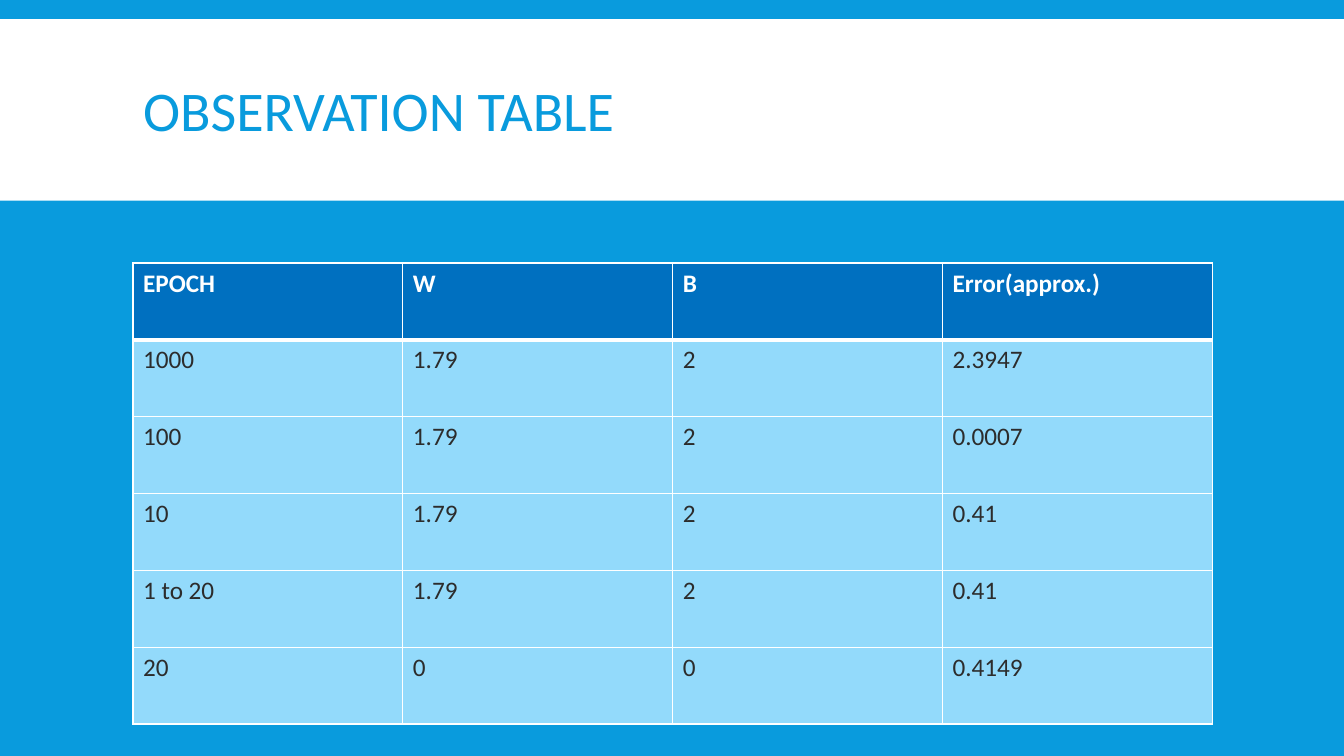
from lxml import etree
from pptx import Presentation
from pptx.dml.color import RGBColor
from pptx.enum.shapes import MSO_SHAPE
from pptx.enum.text import MSO_ANCHOR, PP_ALIGN
from pptx.oxml.ns import qn
from pptx.util import Inches, Pt

RECT = MSO_SHAPE.RECTANGLE
MIDDLE, TOP = MSO_ANCHOR.MIDDLE, MSO_ANCHOR.TOP
LEFT = PP_ALIGN.LEFT

BLUE = RGBColor(0x09, 0x9B, 0xDD)
HEADER_BLUE = RGBColor(0x00, 0x70, 0xC0)
PALE_BLUE = RGBColor(0x93, 0xDA, 0xFB)
WHITE = RGBColor(0xFF, 0xFF, 0xFF)
INK = RGBColor(0x2C, 0x2C, 0x2C)
FONT = "Calibri"

OBSERVATIONS = [
    ["EPOCH", "W", "B", "Error(approx.)"],
    ["1000", "1.79", "2", "2.3947"],
    ["100", "1.79", "2", "0.0007"],
    ["10", "1.79", "2", "0.41"],
    ["1 to 20", "1.79", "2", "0.41"],
    ["20", "0", "0", "0.4149"],
]


def write(tf, text, size=18, color=INK, bold=False, anchor=TOP, spacing=None):
    """Put one formatted paragraph in a text frame."""
    tf.vertical_anchor = anchor
    p = tf.paragraphs[0]
    p.alignment = LEFT
    if spacing:
        p.line_spacing = spacing
    r = p.add_run()
    r.text = text
    r.font.name, r.font.size, r.font.bold = FONT, Pt(size), bold
    r.font.color.rgb = color


def set_borders(cell, top=1, bottom=1):
    """Draw white lines on all sides of a cell, widths in points."""
    tcPr = cell._tc.get_or_add_tcPr()
    for side, width in (("L", 1), ("R", 1), ("T", top), ("B", bottom)):
        ln = etree.SubElement(tcPr, qn(f"a:ln{side}"), w=str(Pt(width)))
        fill = etree.SubElement(ln, qn("a:solidFill"))
        etree.SubElement(fill, qn("a:srgbClr"), val=str(WHITE))


def add_title_band(s, box, text):
    """White band across the slide, with the title inside it."""
    x, y, w, h = box
    band = s.shapes.add_shape(RECT, x, y, w, h)
    band.shadow.inherit = False
    band.fill.solid()
    band.fill.fore_color.rgb = WHITE
    band.line.fill.background()
    s.shapes._spTree.insert(2, band._element)  # behind the title

    title = s.shapes.title
    title.left, title.width = x + int(w * 0.099), int(w * 0.803)
    title.top, title.height = y + int(h * 0.067), int(h * 0.917)
    title.text_frame.word_wrap = True
    write(title.text_frame, text, size=40, color=BLUE, anchor=MIDDLE,
          spacing=0.85)


def add_observations(s, box, rows):
    """Table of equal columns and rows under a dark header row."""
    x, y, w, h = box
    table = s.shapes.add_table(len(rows), len(rows[0]), x, y, w, h).table
    for i, row in enumerate(rows):
        header = i == 0
        for j, text in enumerate(row):
            cell = table.cell(i, j)
            set_borders(cell, top=3 if i == 1 else 1,
                        bottom=3 if header else 1)
            cell.fill.solid()
            cell.fill.fore_color.rgb = HEADER_BLUE if header else PALE_BLUE
            write(cell.text_frame, text, color=WHITE if header else INK,
                  bold=header)


prs = Presentation()
prs.slide_width, prs.slide_height = Inches(13.33), Inches(7.5)
W, H = prs.slide_width, prs.slide_height

s = prs.slides.add_slide(prs.slide_layouts[5])
s.background.fill.solid()
s.background.fill.fore_color.rgb = BLUE

# Title region
add_title_band(s, (0, int(H * 0.0255), W, int(H * 0.24)), "OBSERVATION TABLE")

# Table region
add_observations(
    s, (int(W * 0.099), int(H * 0.348), int(W * 0.803), int(H * 0.61)),
    OBSERVATIONS)

prs.save("out.pptx")
